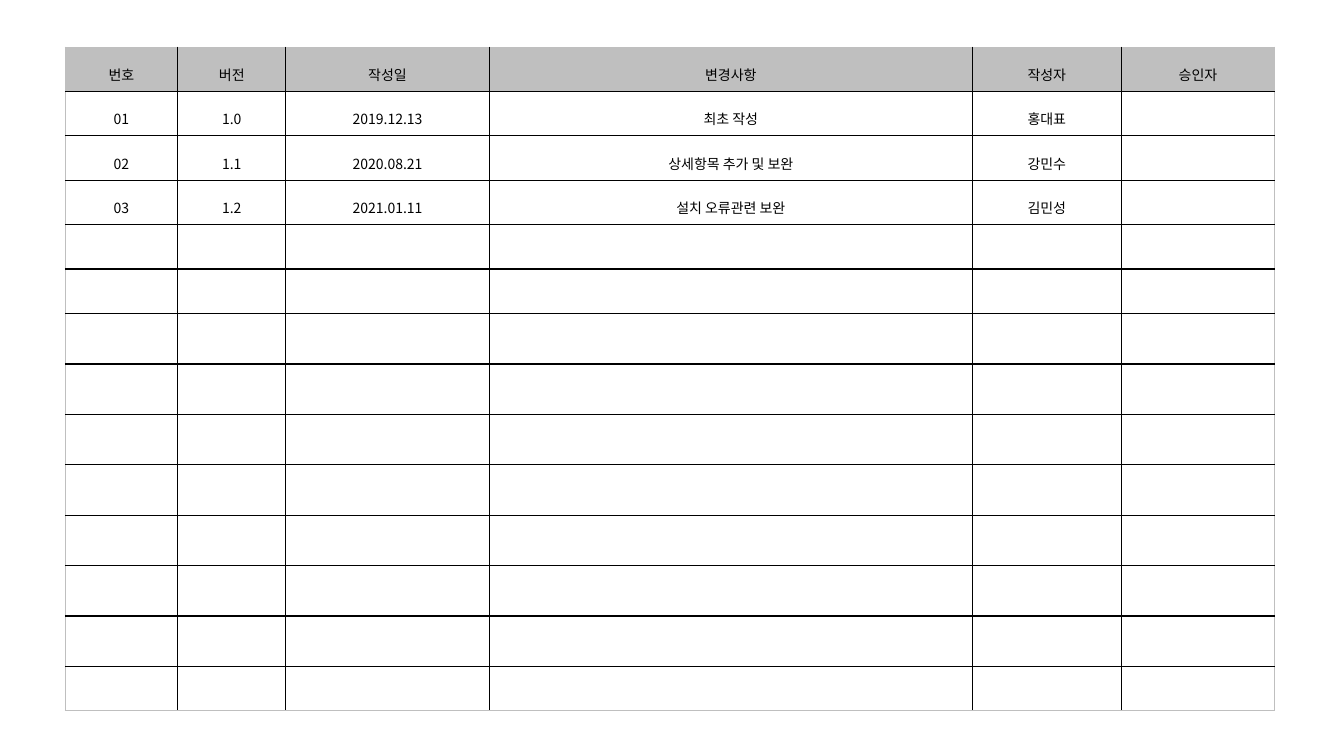
"""Build a document revision history slide."""
from typing import NamedTuple

from lxml.etree import SubElement
from pptx import Presentation
from pptx.dml.color import RGBColor
from pptx.enum.text import MSO_ANCHOR, PP_ALIGN
from pptx.oxml.ns import qn
from pptx.table import Table, _Cell
from pptx.util import Cm, Pt

COLORS = {"ink": "000000", "head": "BFBFBF", "edge": "BFBFBF", "paper": "FFFFFF"}
FONT = "Noto Sans CJK KR"
SIZE = 10
WIDTHS = [2.84, 2.72, 5.13, 12.17, 3.76, 3.86]
HEIGHTS = [1.12] * 6 + [1.27] * 7 + [1.12]


class Entry(NamedTuple):
    """One line of the revision history."""
    number: str = ""
    version: str = ""
    date: str = ""
    change: str = ""
    author: str = ""
    signer: str = ""


ENTRIES = [
    Entry("번호", "버전", "작성일", "변경사항", "작성자", "승인자"),
    Entry("01", "1.0", "2019.12.13", "최초 작성", "홍대표"),
    Entry("02", "1.1", "2020.08.21", "상세항목 추가 및 보완", "강민수"),
    Entry("03", "1.2", "2021.01.11", "설치 오류관련 보완", "김민성"),
]


def add_edge(cell: _Cell, side: str, outer: bool) -> None:
    """Draw one border of a cell."""
    width = Pt(0.5 if outer else 1)
    line = SubElement(cell._tc.get_or_add_tcPr(), qn(f"a:ln{side}"), w=str(width))
    fill = SubElement(line, qn("a:solidFill"))
    SubElement(fill, qn("a:srgbClr"), val=COLORS["edge" if outer else "ink"])


def write(cell: _Cell, text: str) -> None:
    """Put centred text in a cell."""
    cell.vertical_anchor = MSO_ANCHOR.MIDDLE
    para = cell.text_frame.paragraphs[0]
    para.alignment = PP_ALIGN.CENTER
    para.line_spacing = 1.5
    if not text:
        SubElement(para._p, qn("a:endParaRPr"), sz=str(SIZE * 100))
        return
    run = para.add_run()
    run.text = text
    run.font.name = FONT
    run.font.size = Pt(SIZE)
    run.font.bold = False
    run.font.color.rgb = RGBColor.from_string(COLORS["ink"])
    SubElement(run.font._element, qn("a:ea"), typeface=FONT)


def fill_table(table: Table) -> None:
    """Size the grid and fill every cell."""
    for column, width in zip(table.columns, WIDTHS):
        column.width = Cm(width)
    last_row, last_col = len(HEIGHTS) - 1, len(WIDTHS) - 1
    for r, height in enumerate(HEIGHTS):
        table.rows[r].height = Cm(height)
        entry = ENTRIES[r] if r < len(ENTRIES) else Entry()
        for c, text in enumerate(entry):
            cell = table.cell(r, c)
            outer = {"L": c == 0, "R": c == last_col, "T": r == 0, "B": r == last_row}
            for side, flag in outer.items():
                add_edge(cell, side, flag)
            cell.fill.solid()
            shade = COLORS["head" if r == 0 else "paper"]
            cell.fill.fore_color.rgb = RGBColor.from_string(shade)
            write(cell, text)


def main() -> None:
    """Create the deck and save it."""
    deck = Presentation()
    deck.slide_width, deck.slide_height = Cm(33.87), Cm(19.05)
    slide = deck.slides.add_slide(deck.slide_layouts[6])
    frame = slide.shapes.add_table(
        len(HEIGHTS), len(WIDTHS), Cm(1.64), Cm(1.18),
        Cm(sum(WIDTHS)), Cm(sum(HEIGHTS)))
    fill_table(frame.table)
    deck.save("out.pptx")


if __name__ == "__main__":
    main()
